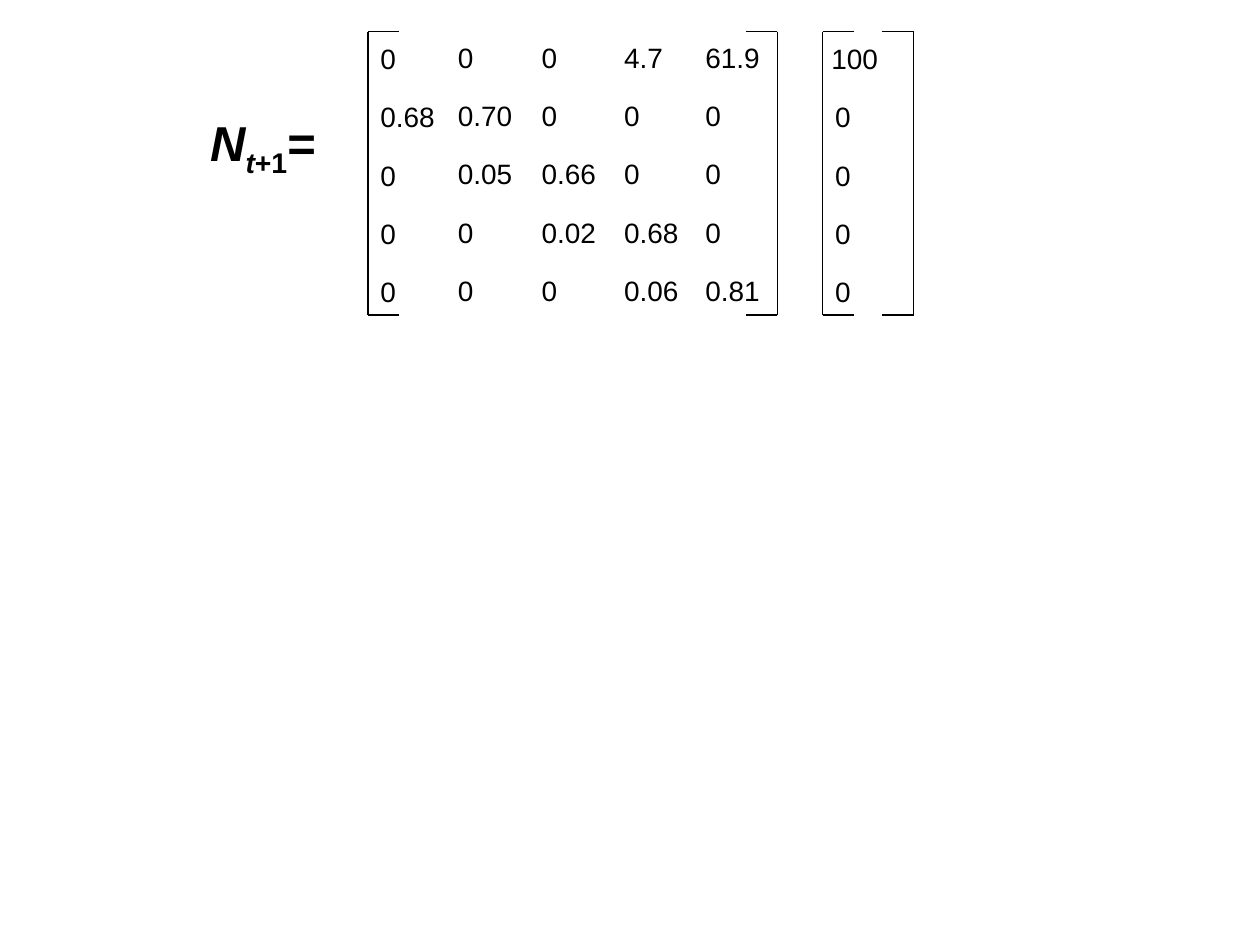
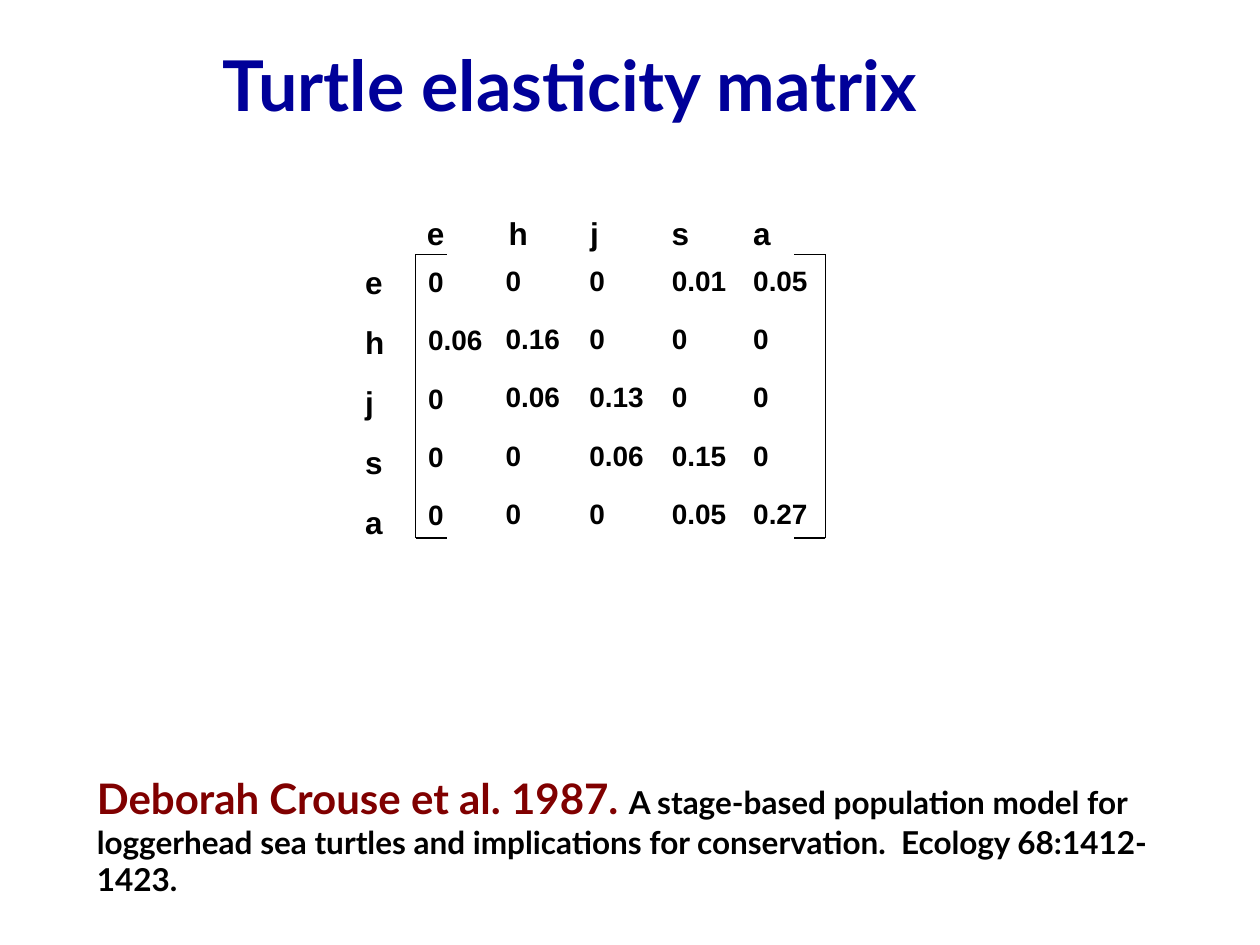
from dataclasses import dataclass

from pptx import Presentation
from pptx.dml.color import RGBColor
from pptx.enum.shapes import MSO_CONNECTOR as Connector
from pptx.enum.text import MSO_AUTO_SIZE as AutoSize
from pptx.oxml.ns import qn
from pptx.slide import Slide
from pptx.text.text import _Paragraph as Paragraph
from pptx.util import Inches, Length, Pt


@dataclass(frozen=True)
class Theme:
    """Colours, fonts and type sizes of the deck."""

    ink: str = "000000"
    title: str = "000099"
    author: str = "800000"
    matrix_font: str = "Arial"
    prose_font: str = "Lato"
    cell_size: int = 16
    label_size: int = 18
    author_size: int = 24
    equation_size: int = 28
    title_size: int = 40
    rule_width: float = 0.75


@dataclass(frozen=True)
class Matrix:
    """A bracketed matrix placed on the grid."""

    left: float
    top: float
    width: float
    rows: tuple[str, ...]
    bold: bool = False
    first_shift: float = 0


THEME = Theme()
COLUMNS, ROWS, UNIT = 40, 30, 0.25
BRACKET_HEIGHT, TICK = 9, 1
CELL_LEFTS = (0, 2.46, 5.12, 7.74, 10.32)
ROW_PITCH = 1.85
STAGES = "ehjsa"
NARROW, WIDE = ".j", "h"

PROJECTION = Matrix(11.68, 1, 13, (
    "0 0 0 4.7 61.9",
    "0.68 0.70 0 0 0",
    "0 0.05 0.66 0 0",
    "0 0 0.02 0.68 0",
    "0 0 0 0.06 0.81",
))
POPULATION = Matrix(26.12, 1, 2.88, ("100", "0", "0", "0", "0"), first_shift=-0.12)
ELASTICITY = Matrix(13.2, 8.08, 13, (
    "0 0 0 0.01 0.05",
    "0.06 0.16 0 0 0",
    "0 0.06 0.13 0 0",
    "0 0 0.06 0.15 0",
    "0 0 0 0.05 0.27",
), bold=True)


def grid(units: float) -> Length:
    """Convert grid units to a length."""
    return Inches(units * UNIT)


def text_width(text: str, size: int) -> float:
    """Return the grid width of a box that fits a short label."""
    ems = sum(0.28 if mark in NARROW else 0.61 if mark in WIDE else 0.56 for mark in text)
    return (0.2 + ems * size / 72) / UNIT


def add_box(page: Slide, left: float, top: float, width: float, size: int,
            lines: int = 1) -> Paragraph:
    """Add a text box sized for its lines and return its paragraph."""
    height = (0.1 + lines * size * 1.2 / 72) / UNIT
    box = page.shapes.add_textbox(grid(left), grid(top), grid(width), grid(height))
    box.text_frame.word_wrap = lines > 1
    box.text_frame.auto_size = AutoSize.SHAPE_TO_FIT_TEXT
    return box.text_frame.paragraphs[0]


def add_span(para: Paragraph, text: str, *, size: int, font: str = THEME.matrix_font,
             color: str = THEME.ink, bold: bool = True, italic: bool = False,
             baseline: int = 0) -> None:
    """Append formatted text to a paragraph."""
    span = para.add_run()
    span.text = text
    span.font.name, span.font.size = font, Pt(size)
    span.font.bold, span.font.italic = bold, italic
    span.font.color.rgb = RGBColor.from_string(color)
    if baseline:
        span._r.get_or_add_rPr().set("baseline", str(baseline * 1000))


def add_label(page: Slide, text: str, left: float, top: float, size: int,
              bold: bool = True) -> None:
    """Add a short label with a fitted box."""
    para = add_box(page, left, top, text_width(text, size), size)
    add_span(para, text, size=size, bold=bold)


def add_bracket(page: Slide, edge: float, top: float, tick: float) -> None:
    """Draw one square bracket as a group of three lines."""
    bottom, tip = top + BRACKET_HEIGHT, edge + tick
    group = page.shapes.add_group_shape()
    for ends in ((edge, top, edge, bottom), (edge, bottom, tip, bottom), (edge, top, tip, top)):
        line = group.shapes.add_connector(Connector.STRAIGHT, *map(grid, ends))
        line.line.color.rgb = RGBColor.from_string(THEME.ink)
        line.line.width = Pt(THEME.rule_width)
        properties = line._element.spPr
        properties.append(properties.makeelement(qn("a:effectLst"), {}))


def add_matrix(page: Slide, matrix: Matrix) -> None:
    """Draw the brackets and the entries of a matrix."""
    add_bracket(page, matrix.left, matrix.top, TICK)
    add_bracket(page, matrix.left + matrix.width, matrix.top, -TICK)
    for row, values in enumerate(matrix.rows):
        for column, value in enumerate(values.split()):
            shift = matrix.first_shift if row == column == 0 else 0
            drop = 0.08 if column else 0.12
            add_label(page, value, matrix.left + CELL_LEFTS[column] + shift,
                      matrix.top + drop + row * ROW_PITCH, THEME.cell_size, matrix.bold)


def build_projection(page: Slide) -> None:
    """Build the population projection equation."""
    add_matrix(page, PROJECTION)
    add_matrix(page, POPULATION)
    size = THEME.equation_size
    para = add_box(page, 6.28, 3.36, 4.4, size)
    add_span(para, "N", size=size, italic=True)
    add_span(para, "t", size=size, italic=True, baseline=-25)
    add_span(para, "+1", size=size, baseline=-25)
    add_span(para, "=", size=size)


def build_elasticity(page: Slide) -> None:
    """Build the labelled elasticity matrix with its citation."""
    title = add_box(page, 6.68, 1.12, 26.24, THEME.title_size)
    add_span(title, "Turtle elasticity matrix", size=THEME.title_size,
             font=THEME.prose_font, color=THEME.title)
    add_matrix(page, ELASTICITY)
    for index, stage in enumerate(STAGES):
        add_label(page, stage, 13.16 + index * 2.59, 6.6, THEME.label_size)
        add_label(page, stage, 11.2, 8.16 + index * 1.9, THEME.label_size)
    citation = add_box(page, 2.68, 24.32, 34.32, THEME.label_size, lines=3)
    add_span(citation, "Deborah Crouse et al. 1987. ", size=THEME.author_size,
             font=THEME.prose_font, color=THEME.author)
    add_span(citation, "A stage-based population model for loggerhead sea turtles and "
             "implications for conservation.  Ecology 68:1412-1423.",
             size=THEME.label_size, font=THEME.prose_font)


def main() -> None:
    """Build and save the deck."""
    deck = Presentation()
    deck.slide_width, deck.slide_height = grid(COLUMNS), grid(ROWS)
    for build in (build_projection, build_elasticity):
        build(deck.slides.add_slide(deck.slide_layouts[6]))
    deck.save("out.pptx")


if __name__ == "__main__":
    main()
